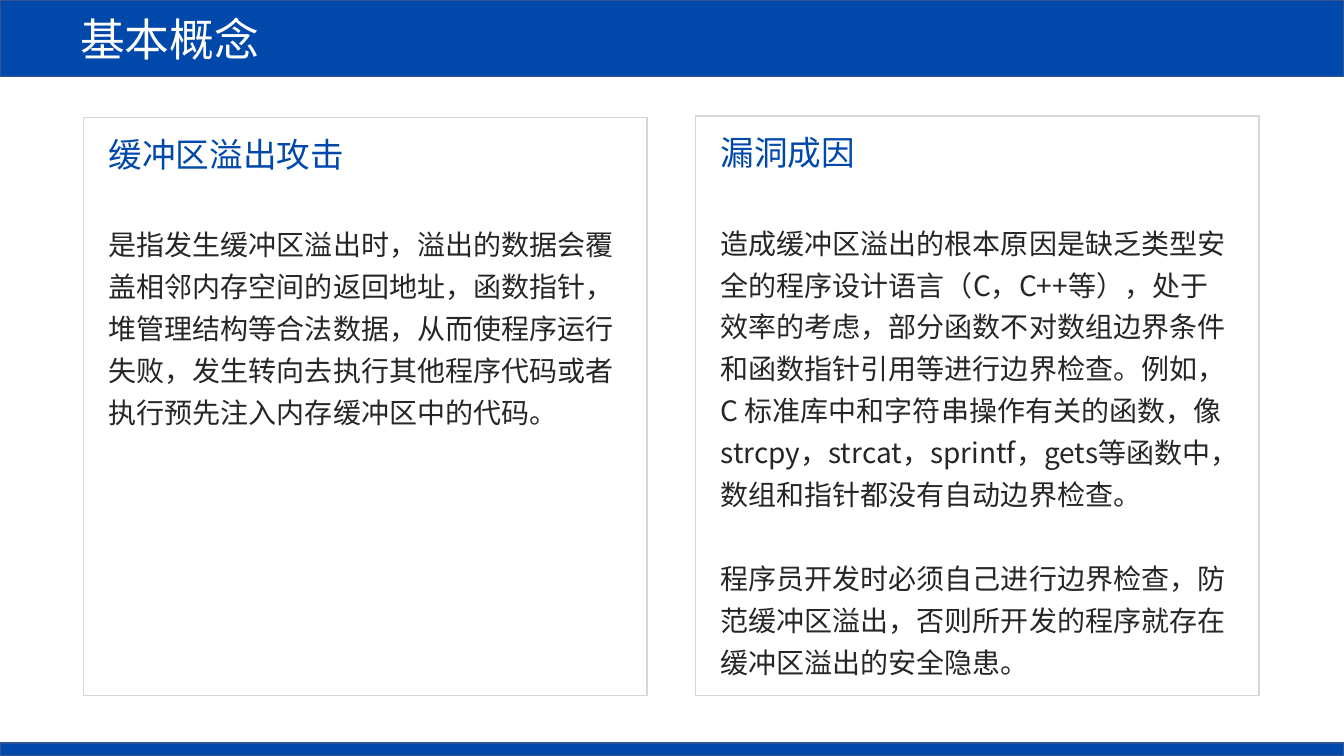
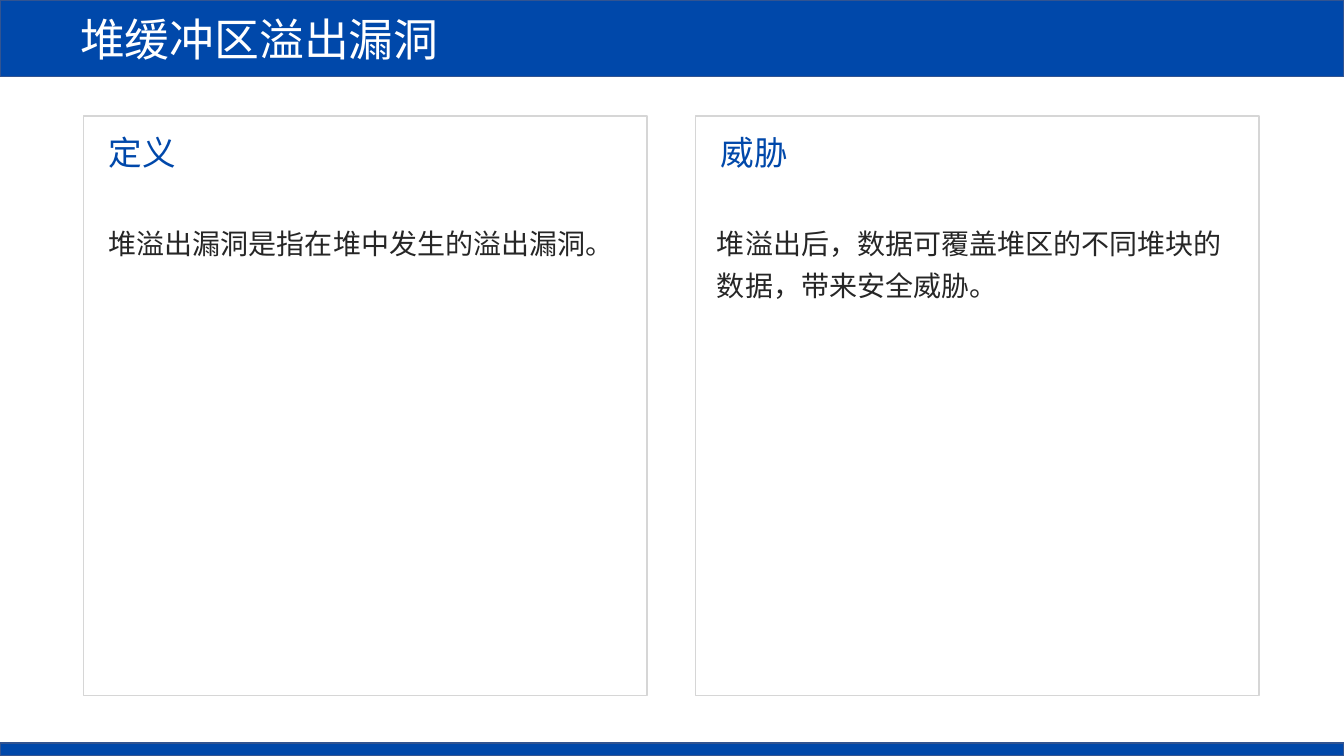
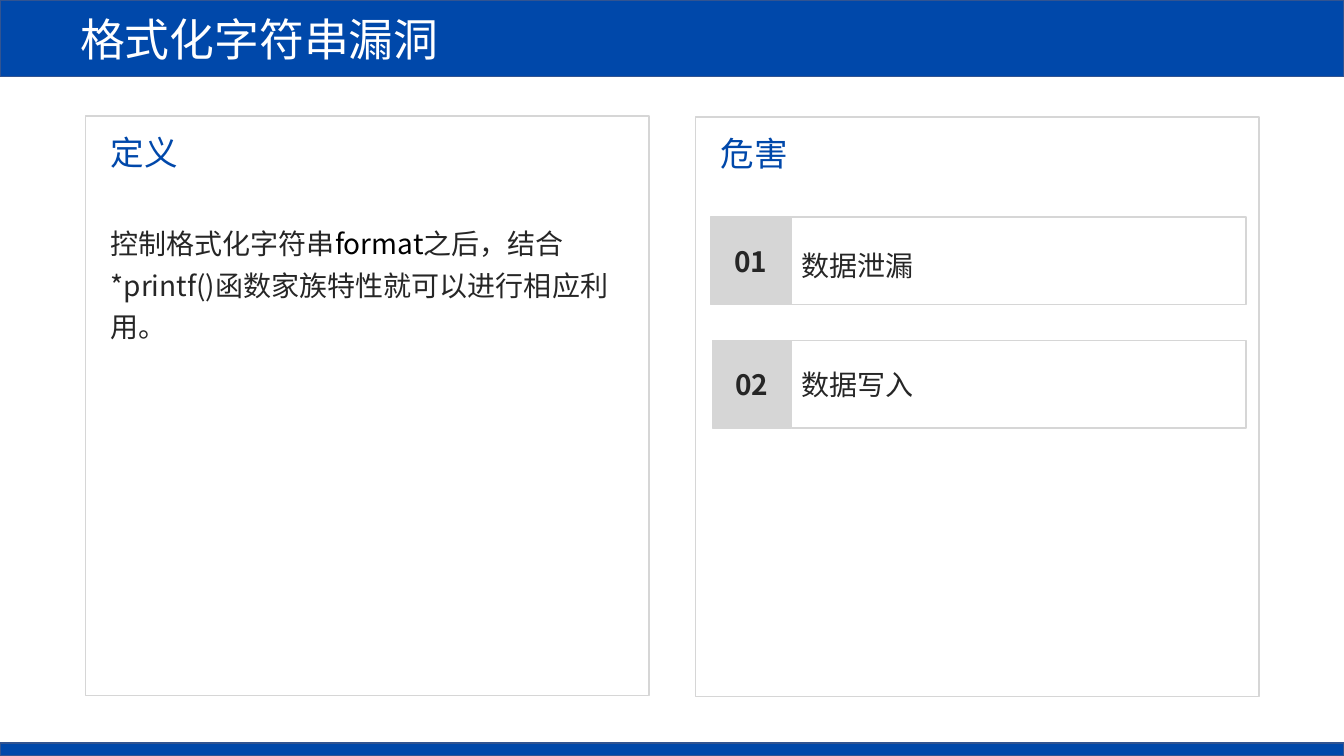
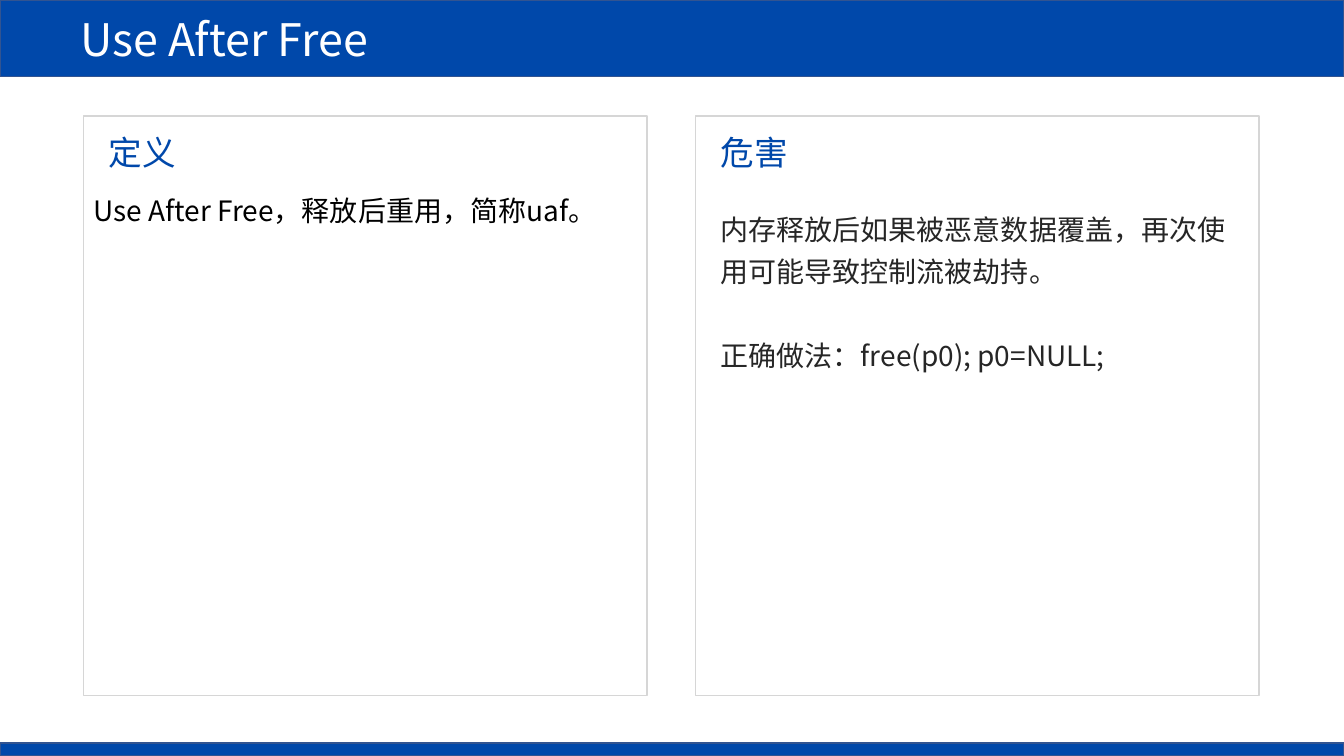
from lxml import etree
from pptx import Presentation
from pptx.dml.color import RGBColor
from pptx.enum.shapes import MSO_SHAPE
from pptx.enum.text import MSO_ANCHOR, MSO_AUTO_SIZE, PP_ALIGN
from pptx.oxml.ns import qn
from pptx.util import Cm, Pt

RECTANGLE = MSO_SHAPE.RECTANGLE
MIDDLE = MSO_ANCHOR.MIDDLE
GROW, FIXED = MSO_AUTO_SIZE.SHAPE_TO_FIT_TEXT, MSO_AUTO_SIZE.NONE
LEFT, CENTER = PP_ALIGN.LEFT, PP_ALIGN.CENTER

FONT = "Noto Sans CJK SC"
BLUE, EDGE, GRAY = "0048AA", "325491", "D6D6D6"
WHITE, INK, BLACK = "FFFFFF", "262626", "000000"
TITLE_ONLY = 5
PAGE_WIDTH, PAGE_HEIGHT = 33.87, 19.05
PANEL_WIDTH, PANEL_TOP, PANEL_HEIGHT = 14.2, 2.92, 14.6
LEFT_PANEL, RIGHT_PANEL = 2.11, 17.53
INDENT, BODY_WIDTH = 0.38, 13.41
LOOSE = {"line_spacing": 1.25}


def color(value):
    """Return the colour for a hex string."""
    return RGBColor.from_string(value)


def assign(target, values):
    """Set each attribute in a dict of format values."""
    for name, value in values.items():
        setattr(target, name, value)


class Deck:
    """Hold the shared style and the current slide."""

    def __init__(self):
        """Start an empty widescreen deck."""
        self.deck = Presentation()
        assign(self.deck, {"slide_width": Cm(PAGE_WIDTH), "slide_height": Cm(PAGE_HEIGHT)})
        self.page = None

    def fill_text(self, frame, paragraphs, size, ink, layout=None, bold=False):
        """Fill a frame; a paragraph is a string or a list of (text, colour) spans."""
        for index, content in enumerate(paragraphs):
            para = frame.add_paragraph() if index else frame.paragraphs[0]
            assign(para, {"alignment": LEFT, **(layout or {})})
            if index:
                para.space_before = Pt(30)
            spans = [(content, ink)] if isinstance(content, str) else content
            for text, tone in spans:
                span = para.add_run()
                span.text = text
                assign(span.font, {"name": FONT, "size": Pt(size), "bold": bold})
                span.font.color.rgb = color(tone)
                etree.SubElement(span._r.get_or_add_rPr(), qn("a:ea"), typeface=FONT)

    def paint(self, box, fill, line):
        """Give a box its fill and one-point outline."""
        if fill:
            box.fill.solid()
            box.fill.fore_color.rgb = color(fill)
        else:
            box.fill.background()
        box.line.color.rgb = color(line)
        box.line.width = Pt(1)

    def rectangle(self, left, top, width, height, fill=None, line=GRAY, parent=None):
        """Add a flat rectangle to the page or to a group."""
        shapes = (parent or self.page).shapes
        box = shapes.add_shape(RECTANGLE, Cm(left), Cm(top), Cm(width), Cm(height))
        box.shadow.inherit = False
        self.paint(box, fill, line)
        return box

    def text(self, left, top, width, height, paragraphs, size, ink, layout=None, wrap=True):
        """Add a text box that grows with its text."""
        box = self.page.shapes.add_textbox(Cm(left), Cm(top), Cm(width), Cm(height))
        assign(box.text_frame, {"word_wrap": wrap, "auto_size": GROW})
        self.fill_text(box.text_frame, paragraphs, size, ink, layout)

    def slide(self, title):
        """Start a slide with its title band and bottom bar."""
        self.page = self.deck.slides.add_slide(self.deck.slide_layouts[TITLE_ONLY])
        band = self.page.shapes.title
        assign(band, {"left": 0, "top": 0, "width": Cm(PAGE_WIDTH), "height": Cm(1.93)})
        self.paint(band, BLUE, EDGE)
        assign(band.text_frame, {"margin_left": Cm(2.02), "vertical_anchor": MIDDLE,
                                 "auto_size": FIXED, "word_wrap": True})
        self.fill_text(band.text_frame, [title], 32, WHITE)
        self.rectangle(0, 18.72, PAGE_WIDTH, 0.33, BLUE, EDGE)

    def panel(self, left, heading, top=PANEL_TOP, height=PANEL_HEIGHT):
        """Add an outlined panel with a blue heading."""
        self.rectangle(left, top, PANEL_WIDTH, height)
        self.text(left + INDENT, top + 0.28, 0.55 + 0.85 * len(heading), 1.27,
                  [heading], 24, BLUE, wrap=False)

    def body(self, left, lines, paragraphs, top=5.36):
        """Add loosely spaced body text, tall enough for its lines."""
        self.text(left, top, BODY_WIDTH, 0.16 + 1.07 * lines, paragraphs, 20, INK, LOOSE)

    def item(self, left, top, number, label, layout=None):
        """Add a grouped row: a gray number cell and a label cell."""
        split, height = 19.94, 2.21
        group = self.page.shapes.add_group_shape()
        cells = (
            (left, split - left, GRAY, number, {"alignment": CENTER}, True),
            (split, 11.46, None, label, layout, False),
        )
        for start, width, fill, content, style, bold in cells:
            cell = self.rectangle(start, top, width, height, fill, parent=group)
            assign(cell.text_frame, {"vertical_anchor": MIDDLE, "word_wrap": True})
            self.fill_text(cell.text_frame, [content], 20, INK, style, bold)


def main():
    """Build the four slides."""
    deck = Deck()
    left_text, right_text = LEFT_PANEL + INDENT, RIGHT_PANEL + INDENT

    deck.slide("基本概念")
    deck.panel(LEFT_PANEL, "缓冲区溢出攻击", top=2.96, height=14.56)
    deck.body(left_text, 5, [
        "是指发生缓冲区溢出时，溢出的数据会覆盖相邻内存空间的返回地址，函数指针，"
        "堆管理结构等合法数据，从而使程序运行失败，发生转向去执行其他程序代码或者"
        "执行预先注入内存缓冲区中的代码。"], top=5.39)
    deck.panel(RIGHT_PANEL, "漏洞成因")
    deck.body(right_text, 11, [
        "造成缓冲区溢出的根本原因是缺乏类型安全的程序设计语言（C，C++等），处于效率的考虑，"
        "部分函数不对数组边界条件和函数指针引用等进行边界检查。例如，C 标准库中和字符串操作"
        "有关的函数，像strcpy，strcat，sprintf，gets等函数中，数组和指针都没有自动边界检查。",
        "程序员开发时必须自己进行边界检查，防范缓冲区溢出，否则所开发的程序就存在"
        "缓冲区溢出的安全隐患。"])

    deck.slide("堆缓冲区溢出漏洞")
    deck.panel(LEFT_PANEL, "定义")
    deck.body(left_text, 1, ["堆溢出漏洞是指在堆中发生的溢出漏洞。"])
    deck.panel(RIGHT_PANEL, "威胁")
    deck.body(17.82, 2, ["堆溢出后，数据可覆盖堆区的不同堆块的数据，带来安全威胁。"])

    deck.slide("格式化字符串漏洞")
    deck.panel(RIGHT_PANEL, "危害", top=2.95)
    deck.panel(2.16, "定义")
    deck.body(2.54, 3, [[
        ("控制格式化字符串", INK), ("format", BLACK),
        ("之后，结合*printf()函数家族特性就可以进行相应利用。", INK)]])
    deck.item(17.91, 5.47, "01", "数据泄漏", LOOSE)
    deck.item(17.95, 8.58, "02", "数据写入")

    deck.slide("Use After Free")
    deck.panel(LEFT_PANEL, "定义")
    deck.text(LEFT_PANEL, 4.75, PANEL_WIDTH, 1.12,
              ["Use After Free，释放后重用，简称uaf。"], 20, BLACK)
    deck.panel(RIGHT_PANEL, "危害")
    deck.body(right_text, 4, [
        "内存释放后如果被恶意数据覆盖，再次使用可能导致控制流被劫持。",
        "正确做法：free(p0); p0=NULL;"], top=5.03)

    deck.deck.save("out.pptx")


if __name__ == "__main__":
    main()
